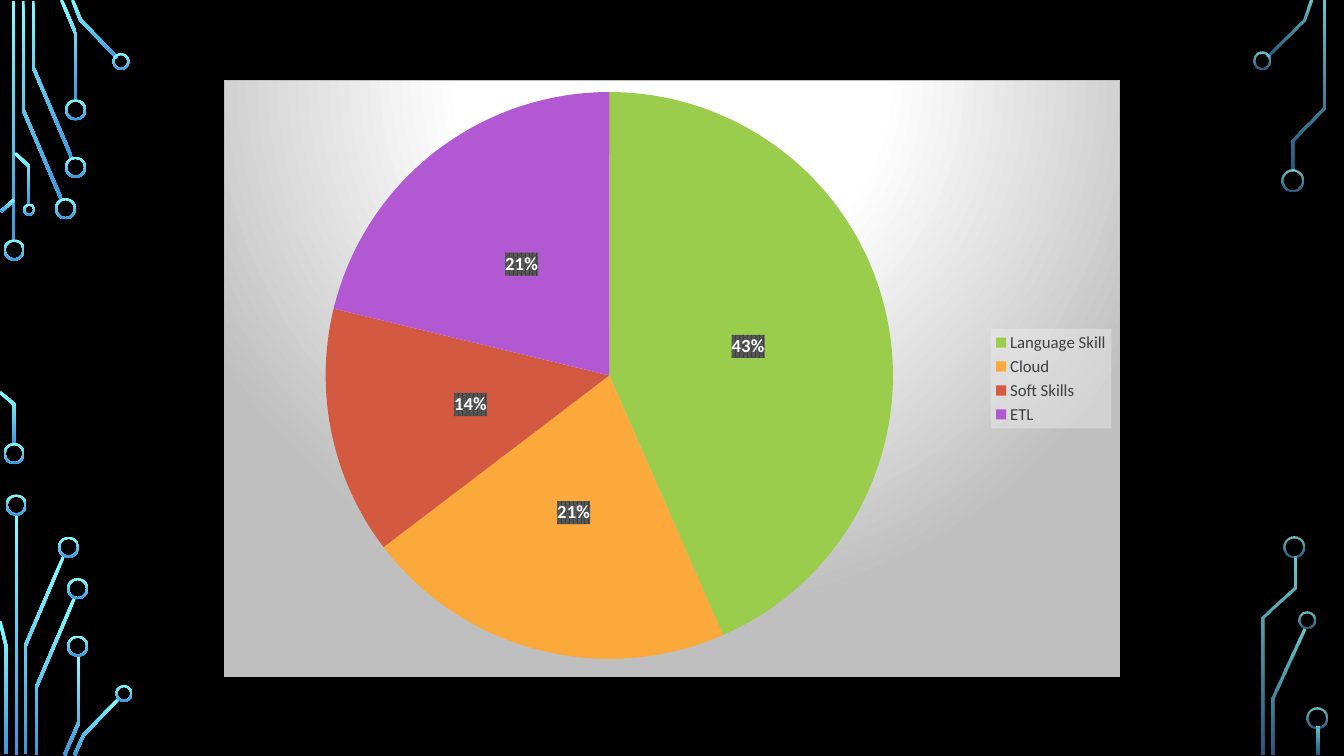
from math import hypot

from pptx import Presentation
from pptx.chart.data import CategoryChartData
from pptx.dml.color import RGBColor
from pptx.enum.chart import XL_CHART_TYPE, XL_LABEL_POSITION, XL_LEGEND_POSITION
from pptx.enum.shapes import MSO_SHAPE
from pptx.oxml import parse_xml
from pptx.oxml.ns import nsdecls
from pptx.util import Inches, Pt

PIE = XL_CHART_TYPE.PIE
LABEL_CENTER = XL_LABEL_POSITION.CENTER
LEGEND_RIGHT = XL_LEGEND_POSITION.RIGHT
RECTANGLE, DONUT = MSO_SHAPE.RECTANGLE, MSO_SHAPE.DONUT

BLACK = RGBColor(0x00, 0x00, 0x00)
WHITE = RGBColor(0xFF, 0xFF, 0xFF)
DARK_GREY = RGBColor(0x40, 0x40, 0x40)
LIGHT_GREY = RGBColor(0xF2, 0xF2, 0xF2)
MID_GREY = RGBColor(0xBF, 0xBF, 0xBF)
LABEL_GREY = RGBColor(0x59, 0x59, 0x59)
CYAN = RGBColor(0x82, 0xFF, 0xFF)
BLUE = RGBColor(0x3D, 0x97, 0xDE)
GREEN = RGBColor(0x9A, 0xCD, 0x4C)
ORANGE = RGBColor(0xFA, 0xA9, 0x3A)
RED = RGBColor(0xD3, 0x59, 0x40)
PURPLE = RGBColor(0xB2, 0x58, 0xD3)

FONT = "Calibri"
TRACE_WIDTH = 0.03
RING_WIDTH = 0.02
OPAQUE, FADED = (100, 100), (80, 60)

SKILLS = [
    ("Language Skill", 43, GREEN),
    ("Cloud", 21, ORANGE),
    ("Soft Skills", 14, RED),
    ("ETL", 21, PURPLE),
]

# Bars: left, top, height. Traces: centre-line points. Rings: centre, diameter.
LEFT_CIRCUIT = {
    "bars": [(0.12, 0.01, 2.39), (0.15, 5.1, 2.39)],
    "traces": [
        [(0.61, 1.98), (0.23, 1.09), (0.23, 0.01)],
        [(0.71, 1.56), (0.33, 0.67), (0.33, 0.01)],
        [(0.75, 1), (0.75, 0.33), (0.61, 0)],
        [(1.16, 0.57), (0.8, 0.2), (0.72, 0)],
        [(0.01, 2.1), (0.14, 1.98)],
        [(0, 3.89), (0.14, 4.01), (0.14, 4.41)],
        [(0.15, 1.52), (0.29, 1.65), (0.29, 2.03)],
        [(0.25, 7.48), (0.25, 6.41), (0.63, 5.52)],
        [(0.06, 7.48), (0.06, 6.41), (0, 6.16)],
        [(0.36, 7.49), (0.36, 6.82), (0.74, 5.93)],
        [(0.64, 7.49), (0.78, 7.17), (0.78, 6.5)],
        [(0.74, 7.49), (0.83, 7.29), (1.18, 6.93)],
    ],
    "rings": [
        (0.14, 2.48, 0.21), (0.14, 4.5, 0.21), (0.65, 2.07, 0.21),
        (0.75, 1.66, 0.21), (0.75, 1.09, 0.21), (1.2, 0.61, 0.17),
        (0.29, 2.08, 0.12), (0.16, 5.01, 0.21), (0.68, 5.43, 0.21),
        (0.77, 5.84, 0.21), (0.77, 6.41, 0.21), (1.23, 6.88, 0.17),
    ],
}
RIGHT_CIRCUIT = {
    "bars": [(13.06, 7.21, 0.28)],
    "traces": [
        [(12.57, 0.56), (12.93, 0.2), (13, 0)],
        [(12.63, 7.49), (12.63, 6.93), (12.93, 6.24)],
        [(12.82, 1.69), (12.82, 1.39), (13.13, 1.07), (13.13, 0.01)],
        [(12.53, 7.49), (12.53, 6.13), (12.84, 5.83), (12.84, 5.52)],
    ],
    "rings": [
        (12.52, 0.6, 0.17), (12.82, 1.79, 0.21), (12.96, 6.15, 0.17),
        (12.83, 5.43, 0.21), (13.06, 7.12, 0.21),
    ],
}


def offset_side(points, distance):
    """Shift a polyline sideways by distance, with mitred corners."""
    normals = []
    for (x1, y1), (x2, y2) in zip(points, points[1:]):
        length = hypot(x2 - x1, y2 - y1)
        normals.append(((y1 - y2) / length, (x2 - x1) / length))
    befores, afters = normals[:1] + normals, normals + normals[-1:]
    side = []
    for (x, y), (ax, ay), (bx, by) in zip(points, befores, afters):
        reach = distance / (1 + ax * bx + ay * by)
        side.append((x + (ax + bx) * reach, y + (ay + by) * reach))
    return side


def shape_properties(content):
    return parse_xml(f"<c:spPr {nsdecls('c', 'a')}>{content}</c:spPr>")


def color_xml(color, alpha=100):
    return f'<a:srgbClr val="{color}"><a:alpha val="{alpha * 1000}"/></a:srgbClr>'


class CircuitSlide:
    def __init__(self, presentation):
        self.slide = presentation.slides.add_slide(presentation.slide_layouts[6])
        self.shapes = self.slide.shapes
        self.slide.background.fill.solid()
        self.slide.background.fill.fore_color.rgb = BLACK

    def glow(self, shape, alphas):
        """Fill with the vertical cyan-to-blue gradient, without outline."""
        shape.shadow.inherit = False
        shape.line.fill.background()
        shape.fill.gradient()
        shape.fill.gradient_angle = 270
        for stop, color, position in zip(shape.fill.gradient_stops, (CYAN, BLUE), (0, 1)):
            stop.color.rgb = color
            stop.position = position
        for color, alpha in zip(shape.element.xpath(".//a:gs/a:srgbClr"), alphas):
            color.append(parse_xml(f"<a:alpha {nsdecls('a')} val=\"{alpha * 1000}\"/>"))

    def bar(self, left, top, height, alphas):
        box = map(Inches, (left, top, TRACE_WIDTH, height))
        self.glow(self.shapes.add_shape(RECTANGLE, *box), alphas)

    def trace(self, points, alphas):
        half = TRACE_WIDTH / 2
        outline = offset_side(points, half) + offset_side(points, -half)[::-1]
        start, *rest = [(Inches(x), Inches(y)) for x, y in outline]
        builder = self.shapes.build_freeform(*start)
        builder.add_line_segments(rest, close=True)
        self.glow(builder.convert_to_shape(), alphas)

    def ring(self, x, y, diameter, alphas):
        radius = diameter / 2
        box = map(Inches, (x - radius, y - radius, diameter, diameter))
        ring = self.shapes.add_shape(DONUT, *box)
        ring.adjustments[0] = RING_WIDTH / diameter
        self.glow(ring, alphas)

    def circuit(self, parts, alphas):
        for bar in parts["bars"]:
            self.bar(*bar, alphas)
        for points in parts["traces"]:
            self.trace(points, alphas)
        for ring in parts["rings"]:
            self.ring(*ring, alphas)

    def font(self, font, size, color, bold=False):
        font.name, font.size, font.bold = FONT, Pt(size), bold
        font.color.rgb = color

    def pie(self, left, top, width, height):
        names, shares, colors = zip(*SKILLS)
        data = CategoryChartData()
        data.categories = names
        data.add_series("Series 1", shares)
        box = map(Inches, (left, top, width, height))
        chart = self.shapes.add_chart(PIE, *box, data).chart
        chart.has_title = False
        self.font(chart.font, 10, WHITE)
        plot = chart.plots[0]
        plot.vary_by_categories = True
        for index, color in enumerate(colors):
            fill = plot.series[0].points[index].format.fill
            fill.solid()
            fill.fore_color.rgb = color

        plot.has_data_labels = True
        labels = plot.data_labels
        labels.show_percentage, labels.show_value = True, False
        labels.number_format, labels.number_format_is_linked = "0%", False
        labels.position = LABEL_CENTER
        self.font(labels.font, 13.3, WHITE, bold=True)
        chart.has_legend = True
        chart.legend.position = LEGEND_RIGHT
        chart.legend.include_in_layout = False
        self.font(chart.legend.font, 12, DARK_GREY)
        self.pie_backgrounds(chart.element)

    def pie_backgrounds(self, chart_space):
        """Set the fills and the plot layout that need XML."""
        stops = "".join(
            f'<a:gs pos="{position * 1000}">{color_xml(color)}</a:gs>'
            for position, color in ((0, WHITE), (39, WHITE), (100, MID_GREY)))
        chart_space.xpath("c:chart")[0].addnext(shape_properties(
            f'<a:gradFill><a:gsLst>{stops}</a:gsLst><a:path path="circle">'
            '<a:fillToRect l="50000" t="-80000" r="50000" b="180000"/></a:path></a:gradFill>'
            f'<a:ln w="9525"><a:solidFill>{color_xml(MID_GREY)}</a:solidFill></a:ln>'))
        chart_space.xpath(".//c:dLbls/c:txPr")[0].addprevious(shape_properties(
            f'<a:pattFill prst="pct75"><a:fgClr>{color_xml(DARK_GREY)}</a:fgClr>'
            f'<a:bgClr>{color_xml(LABEL_GREY)}</a:bgClr></a:pattFill>'))
        chart_space.xpath(".//c:legend/c:txPr")[0].addprevious(shape_properties(
            f"<a:solidFill>{color_xml(LIGHT_GREY, 39)}</a:solidFill>"))
        plot_area = chart_space.xpath(".//c:plotArea")[0]
        for layout in plot_area.xpath("c:layout"):
            plot_area.remove(layout)
        place = "".join(f'<c:{key} val="{value}"/>' for key, value in (
            ("layoutTarget", "inner"), ("xMode", "edge"), ("yMode", "edge"),
            ("x", 0.11), ("y", 0.02), ("w", 0.64), ("h", 0.95)))
        plot_area.insert(0, parse_xml(
            f"<c:layout {nsdecls('c')}><c:manualLayout>{place}</c:manualLayout></c:layout>"))


def main():
    presentation = Presentation()
    presentation.slide_width, presentation.slide_height = Inches(13.33), Inches(7.5)
    skills_slide = CircuitSlide(presentation)
    skills_slide.circuit(LEFT_CIRCUIT, OPAQUE)
    skills_slide.circuit(RIGHT_CIRCUIT, FADED)
    skills_slide.pie(2.22, 0.79, 8.89, 5.93)
    presentation.save("out.pptx")


if __name__ == "__main__":
    main()
